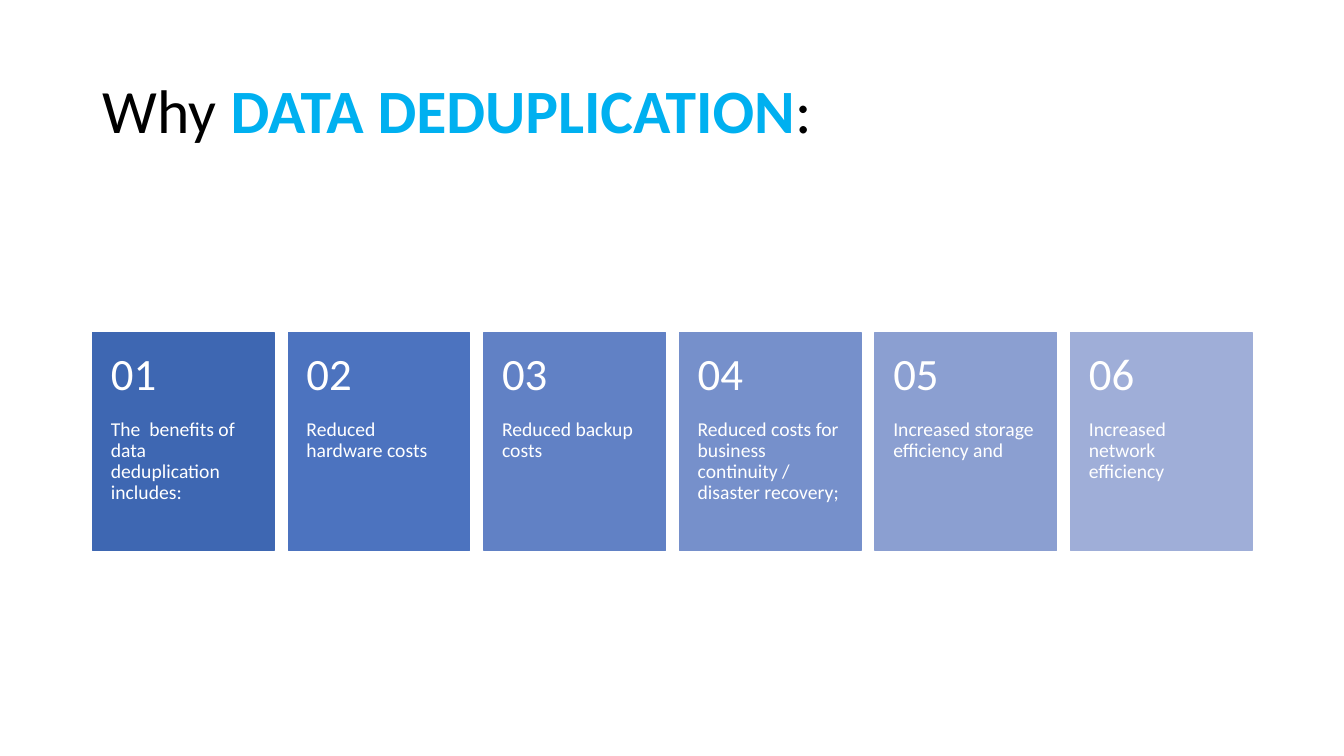
import dataclasses

import pptx
import pptx.dml.color
import pptx.enum.shapes
import pptx.enum.text
import pptx.util

Inches = pptx.util.Inches
Pt = pptx.util.Pt
Anchor = pptx.enum.text.MSO_ANCHOR

FONT = "Calibri"
COLORS = {
    "black": "000000",
    "white": "FFFFFF",
    "accent": "00B0F0",
    "card1": "3E67B2",
    "card2": "4C73BF",
    "card3": "6181C5",
    "card4": "7690CB",
    "card5": "8B9FD1",
    "card6": "9FAED8",
}

# Grid of the card row, in inches
LEFT, TOP = 0.92, 3.3
PITCH, WIDTH = 1.94, 1.8
HEAD, BODY = 0.86, 1.3
PAD = 0.18


@dataclasses.dataclass
class Box:
    left: float
    top: float
    width: float
    height: float

    def place(self) -> list[int]:
        return [Inches(n) for n in (self.left, self.top, self.width, self.height)]


@dataclasses.dataclass
class Run:
    text: str
    size: float
    color: str = "white"
    bold: bool = False


@dataclasses.dataclass
class Style:
    insets: tuple[float, float, float, float]
    anchor: Anchor


TITLE = Style((0.1, 0.05, 0.1, 0.05), Anchor.MIDDLE)
NUMBER = Style((PAD, PAD, PAD, PAD), Anchor.MIDDLE)
DETAIL = Style((PAD, 0, PAD, 2 * PAD), Anchor.TOP)

CARDS = [
    "The  benefits of data deduplication includes:",
    "Reduced hardware costs",
    "Reduced backup costs",
    "Reduced costs for business continuity / disaster recovery;",
    "Increased storage efficiency and",
    "Increased network efficiency",
]


def color(name: str) -> pptx.dml.color.RGBColor:
    return pptx.dml.color.RGBColor.from_string(COLORS[name])


def add_text(shapes, box: Box, style: Style, runs: list[Run]) -> None:
    frame = shapes.add_textbox(*box.place()).text_frame
    frame.word_wrap = True
    frame.vertical_anchor = style.anchor
    (frame.margin_left, frame.margin_top,
     frame.margin_right, frame.margin_bottom) = map(Inches, style.insets)
    para = frame.paragraphs[0]
    para.line_spacing = 0.9
    for item in runs:
        run = para.add_run()
        run.text = item.text
        run.font.name = FONT
        run.font.size = Pt(item.size)
        run.font.bold = item.bold
        run.font.color.rgb = color(item.color)


def add_card(shapes, index: int, text: str) -> None:
    left = LEFT + index * PITCH
    tile = shapes.add_shape(
        pptx.enum.shapes.MSO_SHAPE.RECTANGLE,
        *Box(left, TOP, WIDTH, HEAD + BODY).place())
    tile.shadow.inherit = False
    tint = color(f"card{index + 1}")
    tile.fill.solid()
    tile.fill.fore_color.rgb = tint
    tile.line.color.rgb = tint
    tile.line.width = Pt(1)
    add_text(shapes, Box(left, TOP + HEAD, WIDTH, BODY), DETAIL, [Run(text, 14)])
    add_text(shapes, Box(left, TOP, WIDTH, HEAD), NUMBER,
             [Run(f"{index + 1:02}", 32)])


def main() -> None:
    deck = pptx.Presentation()
    deck.slide_width, deck.slide_height = Inches(13.33), Inches(7.5)
    slide = deck.slides.add_slide(deck.slide_layouts[6])

    # Title
    add_text(slide.shapes, Box(LEFT, 0.4, 11.5, 1.45), TITLE, [
        Run("Why ", 44, "black"),
        Run("DATA DEDUPLICATION", 44, "accent", True),
        Run(":", 44, "black"),
    ])

    # Row of numbered cards
    group = slide.shapes.add_group_shape()
    for index, text in enumerate(CARDS):
        add_card(group.shapes, index, text)

    deck.save("out.pptx")


if __name__ == "__main__":
    main()
